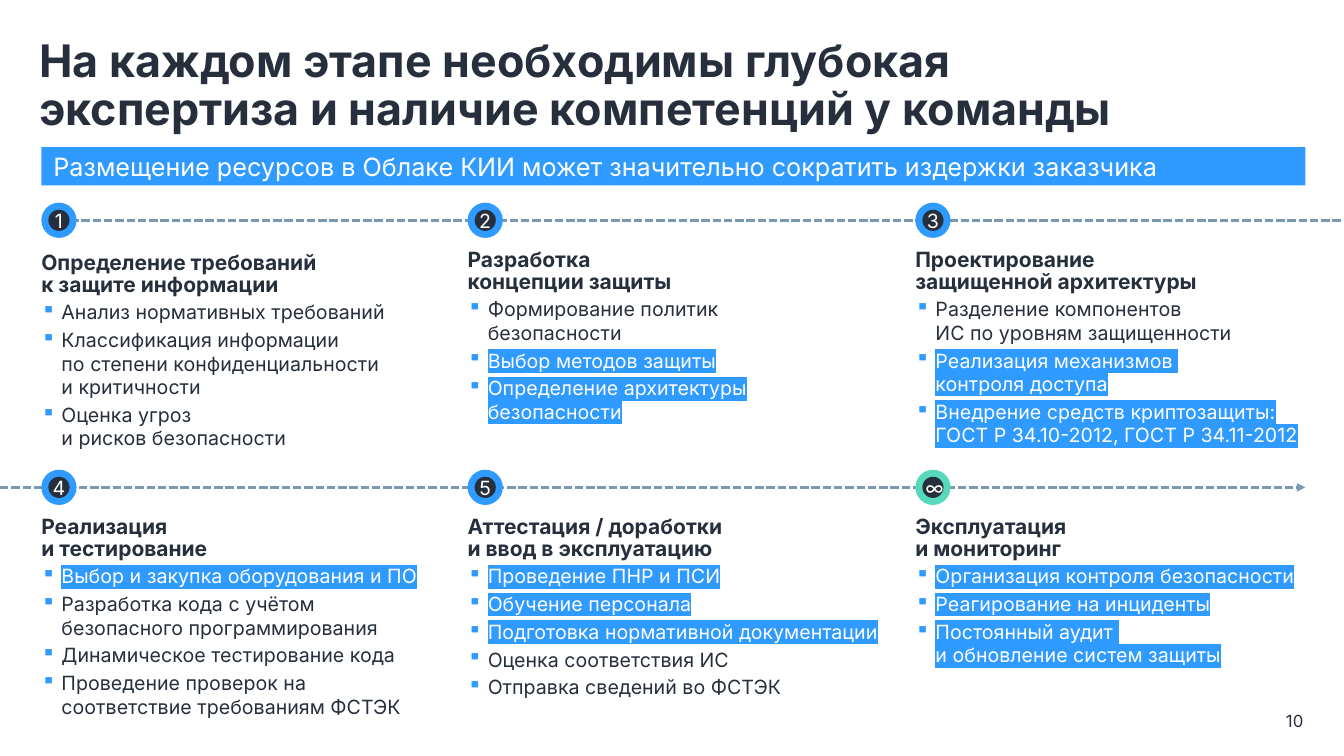
from lxml.etree import SubElement
from pptx import Presentation
from pptx.dml.color import RGBColor
from pptx.enum.dml import MSO_LINE
from pptx.enum.shapes import MSO_CONNECTOR, MSO_SHAPE
from pptx.enum.text import MSO_ANCHOR, PP_ALIGN
from pptx.oxml.ns import qn
from pptx.util import Pt

INK = RGBColor(0x27, 0x2F, 0x3D)
BLUE = RGBColor(0x2F, 0x9A, 0xFF)
MINT = RGBColor(0x57, 0xD9, 0xBB)
STEEL = RGBColor(0x7B, 0x98, 0xB3)
WHITE = RGBColor(0xFF, 0xFF, 0xFF)

SLIDE_W, SLIDE_H = 960, 540
COLUMNS = (29.5, 334, 653.8)
ROWS = (144.75, 335.5)
BADGE, CORE = 25.2, 15.1
RIGHT_EDGE = 932.4
CLOUD = True  # work that the cloud takes over, shown highlighted

# number, badge colour, text offset below the badge top, text width, heading, tasks
STAGES = (
    ("1", BLUE, 35.25, 286.5, "Определение требований \vк защите информации", (
        ("Анализ нормативных требований", not CLOUD),
        ("Классификация информации \vпо степени конфиденциальности \vи критичности", not CLOUD),
        ("Оценка угроз \vи рисков безопасности", not CLOUD))),
    ("2", BLUE, 33.1, 286.5, "Разработка \vконцепции защиты", (
        ("Формирование политик \vбезопасности", not CLOUD),
        ("Выбор методов защиты", CLOUD),
        ("Определение архитектуры безопасности", CLOUD))),
    ("3", BLUE, 33.1, 286.5, "Проектирование \vзащищенной архитектуры", (
        ("Разделение компонентов \vИС по уровням защищенности", not CLOUD),
        ("Реализация механизмов \vконтроля доступа", CLOUD),
        ("Внедрение средств криптозащиты: ГОСТ Р 34.10-2012, ГОСТ Р 34.11-2012", CLOUD))),
    ("4", BLUE, 33.1, 286.5, "Реализация \vи тестирование", (
        ("Выбор и закупка оборудования и ПО", CLOUD),
        ("Разработка кода с учётом безопасного программирования", not CLOUD),
        ("Динамическое тестирование кода", not CLOUD),
        ("Проведение проверок на соответствие требованиям ФСТЭК", not CLOUD))),
    ("5", BLUE, 33.1, 320.4, "Аттестация / доработки \vи ввод в эксплуатацию", (
        ("Проведение ПНР и ПСИ", CLOUD),
        ("Обучение персонала", CLOUD),
        ("Подготовка нормативной документации", CLOUD),
        ("Оценка соответствия ИС", not CLOUD),
        ("Отправка сведений во ФСТЭК", not CLOUD))),
    ("∞", MINT, 33.1, 286.5, "Эксплуатация \vи мониторинг", (
        ("Организация контроля безопасности", CLOUD),
        ("Реагирование на инциденты", CLOUD),
        ("Постоянный аудит \vи обновление систем защиты", CLOUD))),
)


class Deck:
    font = "Inter"

    def __init__(self):
        self.presentation = Presentation()
        self.presentation.slide_width = Pt(SLIDE_W)
        self.presentation.slide_height = Pt(SLIDE_H)
        self.slide = self.presentation.slides.add_slide(self.presentation.slide_layouts[6])

    def set_text(self, paragraph, text, size, color, bold=False, align=PP_ALIGN.LEFT):
        paragraph.text = text
        paragraph.alignment = align
        font = paragraph.font
        font.name, font.size, font.bold = self.font, Pt(size), bold
        font.color.rgb = color

    def frame(self, shape, margins=(0, 0, 0, 0), anchor=MSO_ANCHOR.TOP, wrap=True):
        """Set up the shape's text frame and return it."""
        frame = shape.text_frame
        (frame.margin_left, frame.margin_top,
         frame.margin_right, frame.margin_bottom) = map(Pt, margins)
        frame.vertical_anchor = anchor
        frame.word_wrap = wrap
        return frame

    def textbox(self, left, top, width, height, **options):
        box = self.slide.shapes.add_textbox(Pt(left), Pt(top), Pt(width), Pt(height))
        return self.frame(box, **options)

    def solid(self, parent, preset, left, top, width, height, color):
        """Add a filled preset shape without outline or shadow."""
        shape = parent.add_shape(preset, Pt(left), Pt(top), Pt(width), Pt(height))
        shape.shadow.inherit = False
        shape.fill.solid()
        shape.fill.fore_color.rgb = color
        shape.line.fill.background()
        return shape

    def timeline(self, start, end, y, arrow=False):
        line = self.slide.shapes.add_connector(
            MSO_CONNECTOR.STRAIGHT, Pt(start), Pt(y), Pt(end), Pt(y))
        line.line.color.rgb = STEEL
        line.line.width = Pt(2)
        line.line.dash_style = MSO_LINE.SQUARE_DOT
        properties = line._element.spPr
        if arrow:
            SubElement(properties.find(qn("a:ln")), qn("a:tailEnd"), type="triangle")
        SubElement(properties, qn("a:effectLst"))

    def title(self, text):
        frame = self.textbox(28.1, 25.9, 768.2, 73.4, margins=(0, 1.44, 0, 1.44), wrap=False)
        self.set_text(frame.paragraphs[0], text, 32, INK, bold=True)
        frame.paragraphs[0].line_spacing = 0.9

    def banner(self, text):
        bar = self.solid(self.slide.shapes, MSO_SHAPE.RECTANGLE, COLUMNS[0], 105.1,
                         RIGHT_EDGE - COLUMNS[0], 27.4, BLUE)
        frame = self.frame(bar, (8.64, 2.88, 2.88, 2.88), MSO_ANCHOR.MIDDLE)
        self.set_text(frame.paragraphs[0], text, 18, WHITE)

    def page_number(self, text):
        frame = self.textbox(715, 507.6, 216, 14.4)
        self.set_text(frame.paragraphs[0], text, 12, INK, align=PP_ALIGN.RIGHT)

    def badge(self, left, top, number, color):
        group = self.slide.shapes.add_group_shape().shapes
        self.solid(group, MSO_SHAPE.OVAL, left, top, BADGE, BADGE, color)
        inset = (BADGE - CORE) / 2
        core = self.solid(group, MSO_SHAPE.OVAL, left + inset, top + inset, CORE, CORE, INK)
        frame = self.frame(core, anchor=MSO_ANCHOR.MIDDLE)
        self.set_text(frame.paragraphs[0], number, 14, WHITE, align=PP_ALIGN.CENTER)

    def stage(self, left, top, width, heading, tasks):
        frame = self.textbox(left, top, width, 145)
        header = frame.paragraphs[0]
        header.line_spacing = 0.9
        header.space_after = Pt(2)
        self.set_text(header, heading, 15, INK, bold=True)
        for task, highlighted in tasks:
            self.bullet(frame.add_paragraph(), task, highlighted)

    def bullet(self, paragraph, text, highlighted):
        properties = paragraph._p.get_or_add_pPr()
        properties.set("marL", str(Pt(14.4)))
        properties.set("indent", str(Pt(-14.4)))
        bullet_color = SubElement(properties, qn("a:buClr"))
        SubElement(bullet_color, qn("a:srgbClr"), val=str(BLUE))
        SubElement(properties, qn("a:buChar"), char="▪")
        paragraph.space_after = Pt(3)
        self.set_text(paragraph, text, 14, WHITE if highlighted else INK)
        if highlighted:
            for run in paragraph.runs:
                highlight = SubElement(run._r.get_or_add_rPr(), qn("a:highlight"))
                SubElement(highlight, qn("a:srgbClr"), val=str(BLUE))


def main():
    deck = Deck()
    first_row, second_row = (top + BADGE / 2 for top in ROWS)
    deck.timeline(0, RIGHT_EDGE, second_row, arrow=True)
    deck.timeline(COLUMNS[0] + BADGE / 2, SLIDE_W, first_row)
    deck.title("На каждом этапе необходимы глубокая \vэкспертиза и наличие компетенций у команды")
    deck.banner("Размещение ресурсов в Облаке КИИ может значительно сократить издержки заказчика")
    for index, (number, color, offset, width, heading, tasks) in enumerate(STAGES):
        row, column = divmod(index, len(COLUMNS))
        left, top = COLUMNS[column], ROWS[row]
        deck.badge(left, top, number, color)
        deck.stage(left, top + offset, width, heading, tasks)
    deck.page_number("10")
    deck.presentation.save("out.pptx")


if __name__ == "__main__":
    main()
